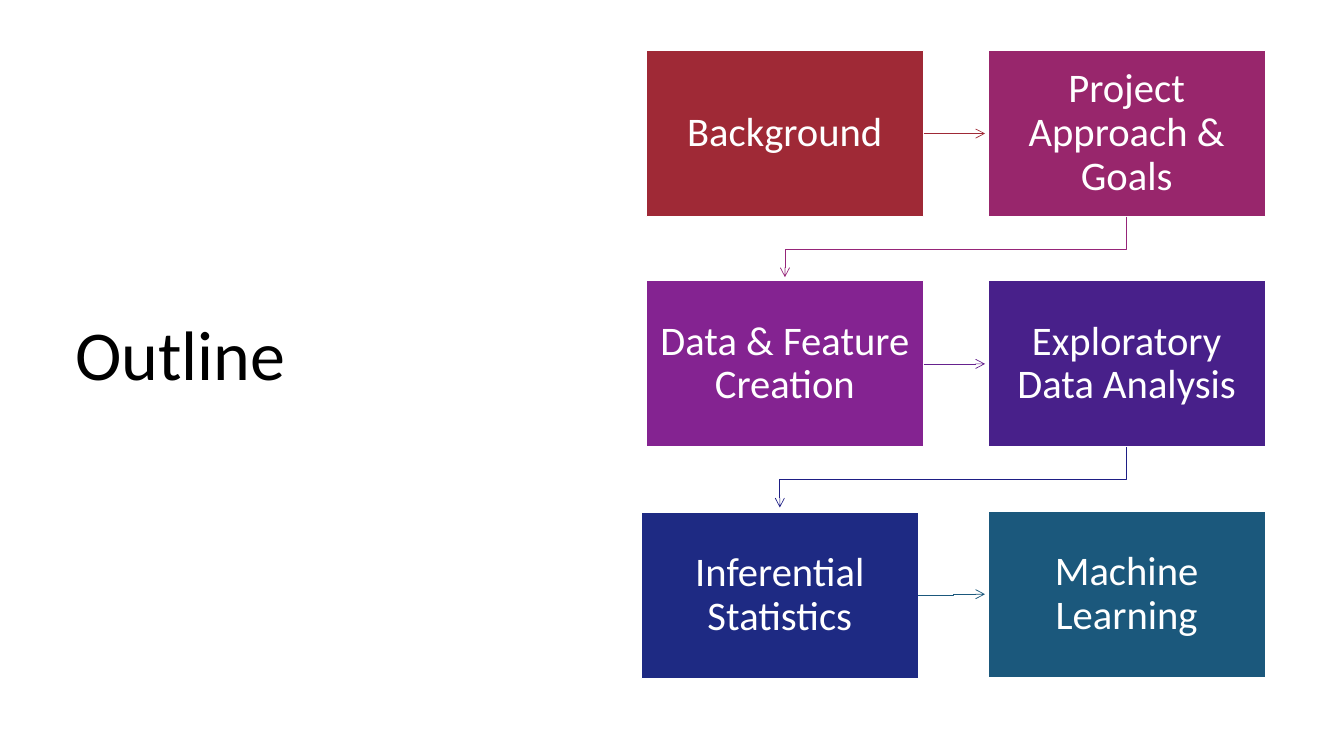
import pptx
import pptx.dml.color
import pptx.enum.shapes
import pptx.enum.text
import pptx.oxml
import pptx.oxml.ns
import pptx.util
from dataclasses import dataclass

Inches = pptx.util.Inches
Pt = pptx.util.Pt
Align = pptx.enum.text.PP_ALIGN


def rgb(value):
    return pptx.dml.color.RGBColor.from_string(value)


@dataclass(frozen=True)
class Theme:
    font: str = "Calibri"
    title_size: int = 50
    box_size: int = 29
    black: str = "000000"
    white: str = "FFFFFF"
    red: str = "9F2936"
    magenta: str = "98266C"
    plum: str = "962579"
    purple: str = "842391"
    violet: str = "66228E"
    indigo: str = "48208A"
    navy: str = "1E2A83"
    ink: str = "1E1E85"
    teal: str = "1B587C"


def write_text(sp, text, font, size, color, align=Align.LEFT, margins=(0.1, 0.05), after=0):
    tf = sp.text_frame
    tf.word_wrap = True
    tf.vertical_anchor = pptx.enum.text.MSO_ANCHOR.MIDDLE
    tf.margin_left = tf.margin_right = Inches(margins[0])
    tf.margin_top = tf.margin_bottom = Inches(margins[1])
    p = tf.paragraphs[0]
    p.alignment = align
    p.line_spacing = 0.9
    p.space_after = Pt(after)
    r = p.add_run()
    r.text = text
    r.font.name = font
    r.font.size = Pt(size)
    r.font.color.rgb = rgb(color)


class Deck:
    def __init__(self, theme):
        self.theme = theme
        self.prs = pptx.Presentation()
        self.prs.slide_width = Inches(13.33)
        self.prs.slide_height = Inches(7.5)
        self.s = self.prs.slides.add_slide(self.prs.slide_layouts[6])

    def title(self, text, x, y, w, h):
        sp = self.s.shapes.add_textbox(Inches(x), Inches(y), Inches(w), Inches(h))
        write_text(sp, text, self.theme.font, self.theme.title_size, self.theme.black)

    def box(self, text, fill, x, y, w, h):
        sp = self.s.shapes.add_shape(
            pptx.enum.shapes.MSO_SHAPE.RECTANGLE, Inches(x), Inches(y), Inches(w), Inches(h))
        sp.shadow.inherit = False
        sp.fill.solid()
        sp.fill.fore_color.rgb = rgb(fill)
        sp.line.color.rgb = rgb(self.theme.white)
        sp.line.width = Pt(1)
        write_text(sp, text, self.theme.font, self.theme.box_size, self.theme.white,
                   align=Align.CENTER, margins=(0.13, 0.14))
        return sp

    def arrow_line(self, sp, color):
        sp.line.color.rgb = rgb(color)
        sp.line.width = Pt(0.5)
        ln = sp.line._get_or_add_ln()
        ln.append(pptx.oxml.parse_xml(
            '<a:tailEnd %s type="arrow"/>' % pptx.oxml.ns.nsdecls("a")))

    def arrow(self, source, x, y, color):
        sp = self.s.shapes.add_connector(
            pptx.enum.shapes.MSO_CONNECTOR.STRAIGHT, Inches(x), Inches(y), Inches(x), Inches(y))
        sp.begin_connect(source, 3)
        self.arrow_line(sp, color)
        sp._element.spPr.append(pptx.oxml.parse_xml(
            "<a:effectLst %s/>" % pptx.oxml.ns.nsdecls("a")))

    def bent_arrow(self, points, color):
        start, *rest = [(Inches(x), Inches(y)) for x, y in points]
        builder = self.s.shapes.build_freeform(*start)
        builder.add_line_segments(rest, close=False)
        sp = builder.convert_to_shape()
        sp.shadow.inherit = False
        sp.fill.background()
        self.arrow_line(sp, color)


def main():
    t = Theme()
    deck = Deck(t)
    deck.title("Outline", 0.65, 1.32, 4.24, 4.45)

    w, h = 2.75, 1.65
    right, top, pitch = 9.8, 0.5, 2.285
    arrow_end = right - 0.03
    rows = [
        (6.41, 0, ("Background", t.red), ("Project Approach & Goals", t.magenta), t.red, t.plum),
        (6.41, 0, ("Data & Feature Creation", t.purple),
         ("Exploratory Data Analysis", t.indigo), t.violet, t.ink),
        (6.36, 0.01, ("Inferential Statistics", t.navy), ("Machine Learning", t.teal),
         t.teal, None),
    ]
    for i, (left, drop, first, second, across, down) in enumerate(rows):
        y = top + i * pitch
        middle = y + h / 2
        source = deck.box(*first, left, y + drop, w, h)
        deck.box(*second, right, y, w, h)
        if drop:
            bend = (left + w + arrow_end) / 2 + 0.02
            deck.bent_arrow([(left + w, middle + drop), (bend, middle + drop),
                             (bend, middle), (arrow_end, middle)], across)
        else:
            deck.arrow(source, arrow_end, middle, across)
        if down:
            start_x, end_x = right + w / 2, rows[i + 1][0] + w / 2
            bottom = y + h
            deck.bent_arrow([(start_x, bottom), (start_x, bottom + 0.32),
                             (end_x, bottom + 0.32), (end_x, bottom + 0.6)], down)

    deck.prs.save("out.pptx")


if __name__ == "__main__":
    main()
